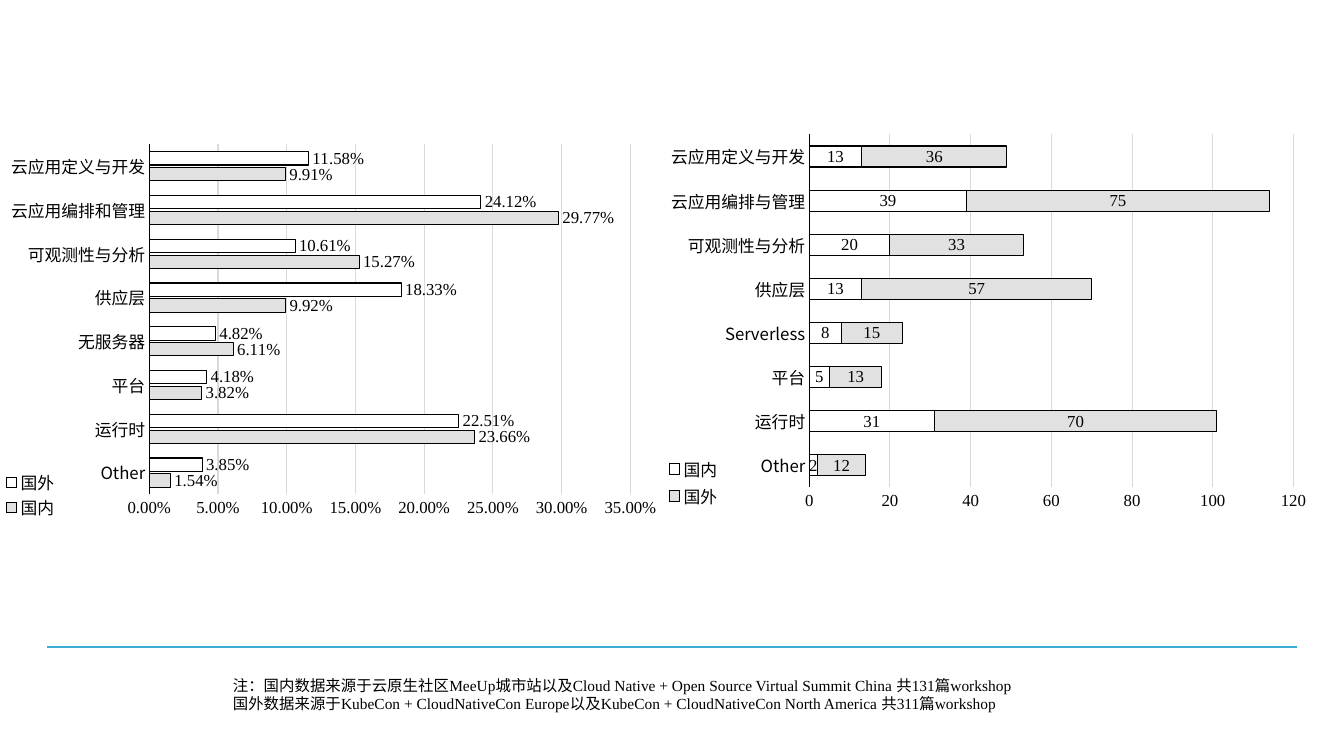
from lxml import etree
from pptx import Presentation
from pptx.chart.data import CategoryChartData
from pptx.dml.color import RGBColor
from pptx.enum.chart import (XL_CHART_TYPE, XL_LABEL_POSITION,
                             XL_LEGEND_POSITION, XL_TICK_MARK)
from pptx.enum.shapes import MSO_CONNECTOR
from pptx.enum.text import MSO_AUTO_SIZE
from pptx.oxml import parse_xml
from pptx.oxml.ns import nsdecls, qn
from pptx.util import Emu, Pt

COLORS = {"ink": "000000", "grid": "D9D9D9", "grey": "E1E1E1",
          "white": "FFFFFF", "rule": "3DAAD6"}
LATIN_FONT = "Times New Roman"
CHINESE_FONT = "Noto Sans CJK SC"
PERCENT, COUNT = "0.00%", "General"


def px(length):
    return Emu(round(length * 914400 / 100.8))


def color(name):
    return RGBColor.from_string(COLORS[name])


def style_font(font, size, name=LATIN_FONT):
    font.size = Pt(size)
    font.name = name
    font.color.rgb = color("ink")


def style_line(line, name, width=0.75):
    line.color.rgb = color(name)
    line.width = Pt(width)


def layout_element(part, size, inner=False):
    """Fixed layout for a part box in px, relative to the chart size."""
    fractions = [round(length / size[i % 2], 4) for i, length in enumerate(part)]
    target = '<c:layoutTarget val="inner"/>' if inner else ""
    values = "".join(f'<c:{tag} val="{value}"/>' for tag, value in zip("xywh", fractions))
    return parse_xml(
        f'<c:layout {nsdecls("c")}><c:manualLayout>{target}<c:xMode val="edge"/>'
        f'<c:yMode val="edge"/>{values}</c:manualLayout></c:layout>')


def set_chart_layout(chart, size, plot_box, legend_box):
    plot_area = chart._chartSpace.find(".//" + qn("c:plotArea"))
    legend = chart._chartSpace.find(".//" + qn("c:legend"))
    for parent in (plot_area, legend):
        for old in parent.findall(qn("c:layout")):
            parent.remove(old)
    plot_area.insert(0, layout_element(plot_box, size, inner=True))
    legend.find(qn("c:legendPos")).addnext(layout_element(legend_box, size))


def finish_chart_xml(chart):
    # White frame around the chart
    chart._chartSpace.find(qn("c:chart")).addnext(parse_xml(
        f'<c:spPr {nsdecls("c", "a")}><a:noFill/><a:ln w="9525"><a:solidFill>'
        f'<a:srgbClr val="{COLORS["white"]}"/></a:solidFill></a:ln></c:spPr>'))
    # Chinese font beside every Latin one
    for latin in list(chart._chartSpace.iter(qn("a:latin"))):
        east_asian = etree.Element(qn("a:ea"), typeface=CHINESE_FONT)
        latin.addnext(east_asian)


def add_bar_chart(page, box, kind, categories, series_rows, number_format,
                  axis_top, axis_step, overlap, plot_box, legend_box):
    data = CategoryChartData(number_format=number_format)
    data.categories = categories
    for name, values, _ in series_rows:
        data.add_series(name, values)
    chart = page.shapes.add_chart(kind, *map(px, box), data).chart
    chart.has_title = False
    style_font(chart.font, 10)

    # Axes
    names, values = chart.category_axis, chart.value_axis
    for axis, font_name in ((names, CHINESE_FONT), (values, LATIN_FONT)):
        axis.major_tick_mark = axis.minor_tick_mark = XL_TICK_MARK.NONE
        style_font(axis.tick_labels.font, 12, font_name)
    names.has_major_gridlines = False
    style_line(names.format.line, "ink")
    values.format.line.fill.background()
    values.has_major_gridlines = True
    style_line(values.major_gridlines.format.line, "grid")
    values.minimum_scale, values.maximum_scale = 0, axis_top
    values.major_unit = axis_step
    values.tick_labels.number_format = number_format
    values.tick_labels.number_format_is_linked = False

    # Bars and their labels
    plot = chart.plots[0]
    plot.gap_width, plot.overlap = 110, overlap
    plot.vary_by_categories = False
    for series, (_, _, fill_name) in zip(plot.series, series_rows):
        series.format.fill.solid()
        series.format.fill.fore_color.rgb = color(fill_name)
        style_line(series.format.line, "ink")
        labels = series.data_labels
        labels.show_value = True
        labels.number_format = number_format
        labels.number_format_is_linked = False
        labels.position = (XL_LABEL_POSITION.OUTSIDE_END
                           if kind == XL_CHART_TYPE.BAR_CLUSTERED
                           else XL_LABEL_POSITION.CENTER)
        style_font(labels.font, 12)

    # Legend
    chart.has_legend = True
    chart.legend.position = XL_LEGEND_POSITION.CORNER
    chart.legend.include_in_layout = False
    style_font(chart.legend.font, 12, CHINESE_FONT)
    set_chart_layout(chart, box[2:], plot_box, legend_box)
    finish_chart_xml(chart)


def add_share_chart(page, box):
    add_bar_chart(
        page, box, XL_CHART_TYPE.BAR_CLUSTERED,
        ["Other", "运行时", "平台", "无服务器", "供应层",
         "可观测性与分析", "云应用编排和管理", "云应用定义与开发"],
        [("国内", [0.0154, 0.2366, 0.0382, 0.0611, 0.0992, 0.1527, 0.2977, 0.0991], "grey"),
         ("国外", [0.0385, 0.2251, 0.0418, 0.0482, 0.1833, 0.1061, 0.2412, 0.1158], "white")],
        PERCENT, axis_top=0.35, axis_step=0.05, overlap=-20,
        plot_box=(149, 13, 482, 351), legend_box=(0, 339, 60, 50))


def add_count_chart(page, box):
    add_bar_chart(
        page, box, XL_CHART_TYPE.BAR_STACKED,
        ["Other", "运行时", "平台", "Serverless", "供应层",
         "可观测性与分析", "云应用编排与管理", "云应用定义与开发"],
        [("国内", [2, 31, 5, 8, 13, 20, 39, 13], "white"),
         ("国外", [12, 70, 13, 15, 57, 33, 75, 36], "grey")],
        COUNT, axis_top=120, axis_step=20, overlap=100,
        plot_box=(151, 3, 485, 354), legend_box=(5, 324, 60, 56))


def add_rule(page, left, right, top):
    rule = page.shapes.add_connector(
        MSO_CONNECTOR.STRAIGHT, px(left), px(top), px(right), px(top))
    style_line(rule.line, "rule", 1)
    etree.SubElement(rule._element.spPr, qn("a:effectLst"))


def add_source_note(page, box):
    frame = page.shapes.add_textbox(*map(px, box)).text_frame
    frame.word_wrap = True
    frame.auto_size = MSO_AUTO_SIZE.SHAPE_TO_FIT_TEXT
    frame.text = (
        "注：国内数据来源于云原生社区MeeUp城市站以及"
        "Cloud Native + Open Source Virtual Summit China 共131篇workshop\n"
        "国外数据来源于KubeCon + CloudNativeCon Europe以及"
        "KubeCon + CloudNativeCon North America 共311篇workshop")
    for para in frame.paragraphs:
        for span in para.runs:
            style_font(span.font, 11)
            latin = span.font._element.find(qn("a:latin"))
            latin.addnext(etree.Element(qn("a:ea"), typeface=CHINESE_FONT))


def main():
    deck = Presentation()
    deck.slide_width, deck.slide_height = px(1344), px(756)
    page = deck.slides.add_slide(deck.slide_layouts[6])
    add_source_note(page, (223, 671, 898, 47))
    add_share_chart(page, (0, 131, 664, 394))
    add_rule(page, 47, 1297, 647)
    add_count_chart(page, (658, 131, 667, 385))
    deck.save("out.pptx")


if __name__ == "__main__":
    main()
